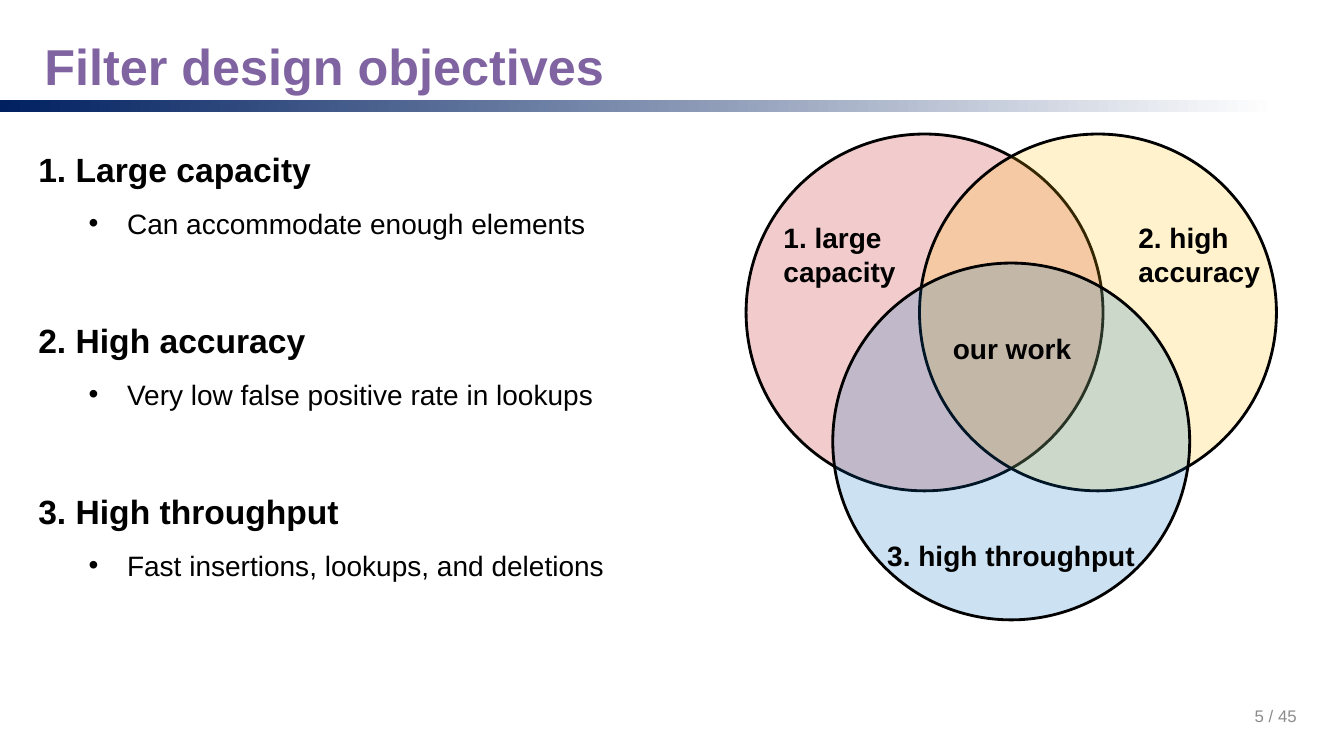
from lxml import etree
from pptx import Presentation
from pptx.dml.color import RGBColor
from pptx.enum.shapes import MSO_SHAPE
from pptx.enum.text import MSO_ANCHOR, PP_ALIGN
from pptx.oxml.ns import qn
from pptx.util import Inches, Pt

RECT = MSO_SHAPE.RECTANGLE
OVAL = MSO_SHAPE.OVAL
MIDDLE = MSO_ANCHOR.MIDDLE
LEFT = PP_ALIGN.LEFT
RIGHT = PP_ALIGN.RIGHT
FONT = "Arial"
BLACK = "000000"
GOALS = [
    ("1. Large capacity", "Can accommodate enough elements"),
    ("2. High accuracy", "Very low false positive rate in lookups"),
    ("3. High throughput", "Fast insertions, lookups, and deletions"),
]


def color(code):
    return RGBColor.from_string(code)


def style(para, size, code=BLACK, bold=False):
    for run in para.runs:
        run.font.name = FONT
        run.font.size = Pt(size)
        run.font.bold = bold
        run.font.color.rgb = color(code)


def inset(frame, gap):
    frame.margin_left = frame.margin_right = Inches(gap)
    frame.margin_top = frame.margin_bottom = Inches(gap)


def add_box(slide, left, top, width, height):
    box = slide.shapes.add_textbox(
        Inches(left), Inches(top), Inches(width), Inches(height))
    box.text_frame.word_wrap = True
    return box.text_frame


def add_bar(slide, left, top, width, height):
    bar = slide.shapes.add_shape(
        RECT, Inches(left), Inches(top), Inches(width), Inches(height))
    bar.shadow.inherit = False
    bar.line.fill.background()
    bar.fill.gradient()
    bar.fill.gradient_angle = 0
    for stop, code in zip(bar.fill.gradient_stops, ("002060", "FFFFFF")):
        stop.color.rgb = color(code)


def add_title(slide, left, top, width, height):
    title = slide.shapes.title
    title.left, title.top = Inches(left), Inches(top)
    title.width, title.height = Inches(width), Inches(height)
    frame = title.text_frame
    frame.text = "Filter design objectives"
    frame.vertical_anchor = MIDDLE
    inset(frame, 0.06)
    para = frame.paragraphs[0]
    para.alignment = LEFT
    para.line_spacing = 0.9
    style(para, 36, "8064A2", True)


def add_bullet(para):
    props = para._p.get_or_add_pPr()
    props.set("marL", str(Inches(0.88)))
    props.set("indent", str(Inches(-0.38)))
    font = etree.SubElement(props, qn("a:buFont"))
    font.set("typeface", FONT)
    etree.SubElement(props, qn("a:buChar")).set("char", "•")


def add_goals(slide, left, top, width, height):
    frame = add_box(slide, left, top, width, height)
    inset(frame, 0)
    for index, (goal, detail) in enumerate(GOALS):
        head = frame.add_paragraph() if index else frame.paragraphs[0]
        head.text = goal
        head.line_spacing = 1.5
        if index:
            head.space_before = Pt(43)
        style(head, 24, bold=True)
        item = frame.add_paragraph()
        item.text = detail
        item.level = 1
        item.line_spacing = 1.5
        style(item, 20)
        add_bullet(item)


def add_circle(slide, left, top, size, code):
    disc = slide.shapes.add_shape(
        OVAL, Inches(left), Inches(top), Inches(size), Inches(size))
    disc.shadow.inherit = False
    disc.fill.solid()
    disc.fill.fore_color.rgb = color(code)
    tint = disc._element.spPr.find(qn("a:solidFill")).find(qn("a:srgbClr"))
    etree.SubElement(tint, qn("a:alpha")).set("val", "20000")
    disc.line.color.rgb = color(BLACK)
    disc.line.width = Pt(2)


def add_label(slide, left, top, width, height, text):
    frame = add_box(slide, left, top, width, height)
    frame.vertical_anchor = MIDDLE
    inset(frame, 0)
    frame.text = text
    for para in frame.paragraphs:
        style(para, 20, bold=True)


def add_venn(slide, left, top, size):
    step, drop = 1.72, 1.28
    add_circle(slide, left, top, size, "C00000")
    add_circle(slide, left + step, top, size, "FFC000")
    add_circle(slide, left + step / 2, top + drop, size, "0070C0")
    labels = [
        (1.4, 4, 2.6, 0.35, "3. high throughput"),
        (3.89, 0.85, 1.35, 0.69, "2. high\naccuracy"),
        (0.37, 0.83, 1.35, 0.73, "1. large\ncapacity"),
        (2.05, 1.88, 1.35, 0.5, "our work"),
    ]
    for x, y, width, height, text in labels:
        add_label(slide, left + x, top + y, width, height, text)


def add_page(slide, left, top, width, height):
    frame = add_box(slide, left, top, width, height)
    frame.vertical_anchor = MIDDLE
    frame.text = "5 / 45"
    para = frame.paragraphs[0]
    para.alignment = RIGHT
    style(para, 12, "8C8C8C")


def main():
    deck = Presentation()
    deck.slide_width, deck.slide_height = Inches(13.33), Inches(7.5)
    slide = deck.slides.add_slide(deck.slide_layouts[5])
    add_bar(slide, 0, 0.99, 12.67, 0.12)
    add_title(slide, 0.38, 0.36, 12.58, 0.65)
    add_goals(slide, 0.38, 1.28, 11.95, 4.48)
    add_venn(slide, 7.4, 1.33, 3.54)
    add_page(slide, 9.96, 6.9, 3, 0.4)
    deck.save("out.pptx")


if __name__ == "__main__":
    main()
